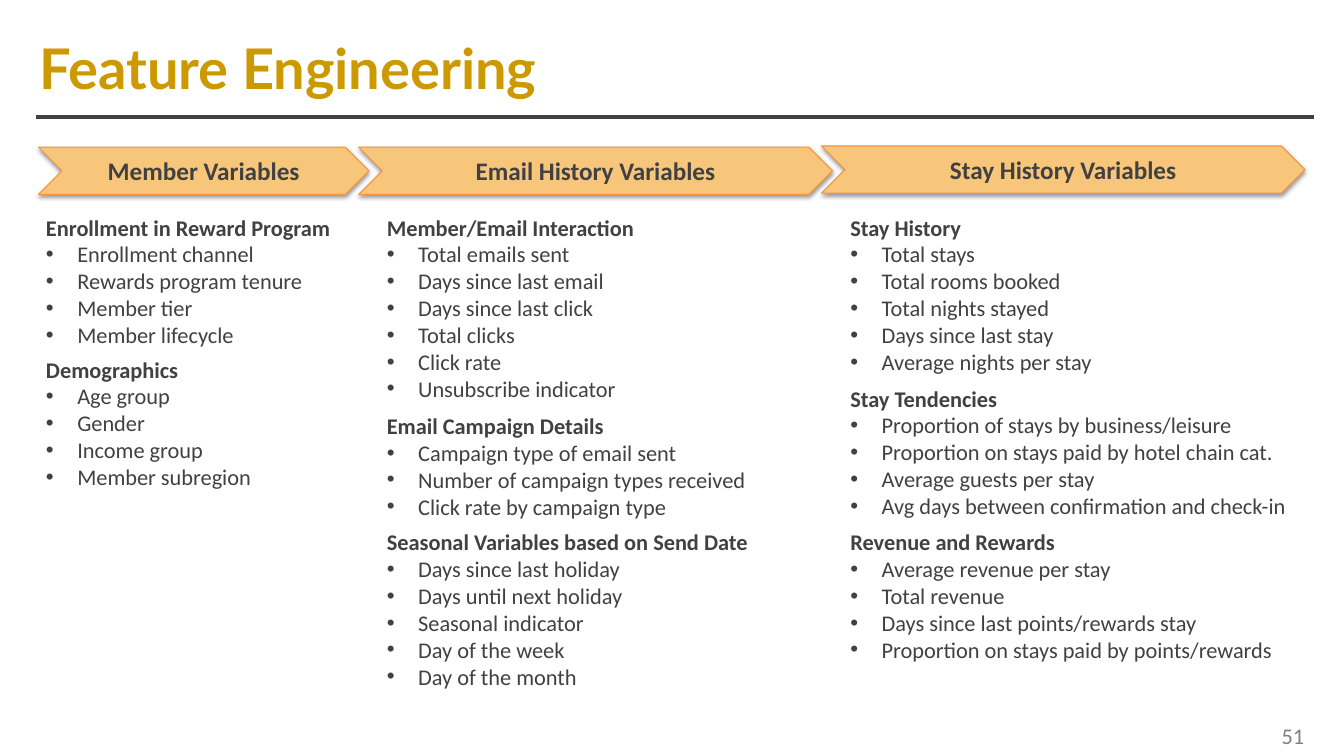
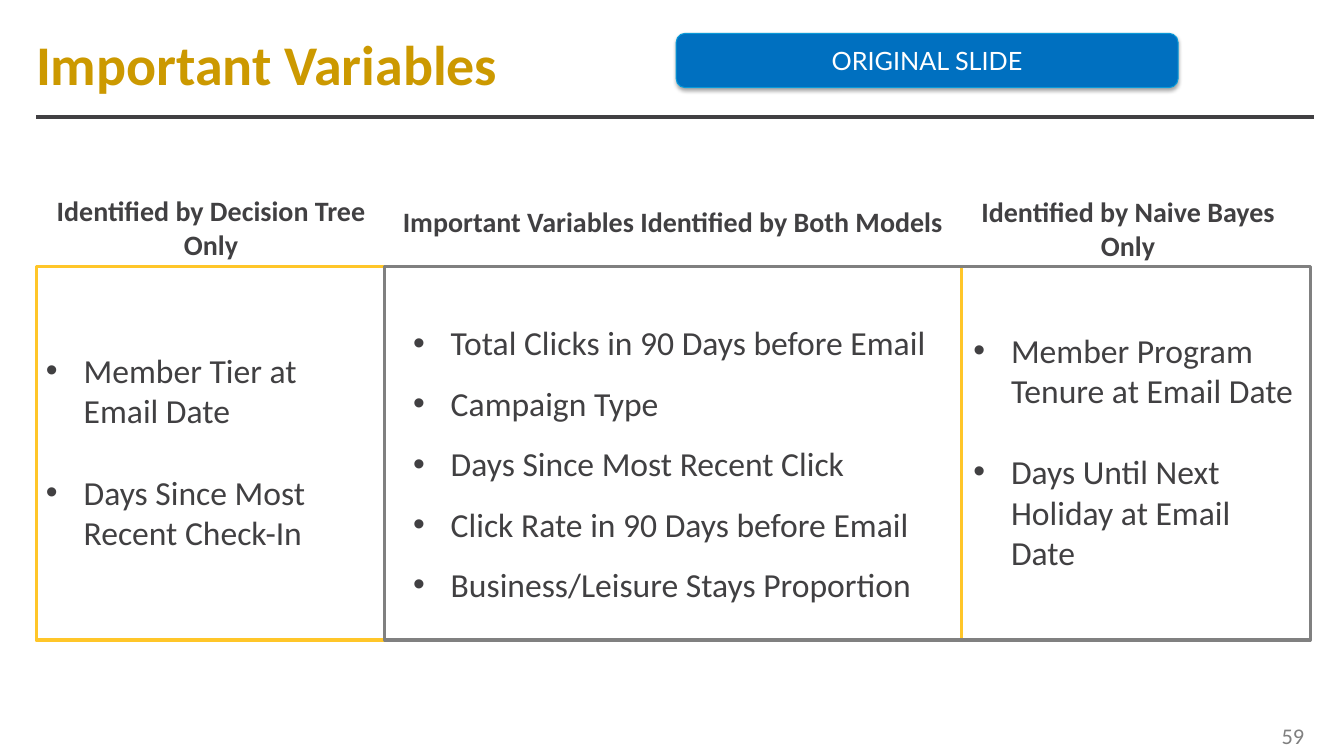
from dataclasses import dataclass

from lxml.etree import SubElement
from pptx import Presentation
from pptx.dml.color import RGBColor as Rgb
from pptx.enum.shapes import MSO_CONNECTOR as Link, MSO_SHAPE as Preset
from pptx.enum.text import MSO_ANCHOR as Anchor, PP_ALIGN as Align
from pptx.oxml.ns import qn
from pptx.util import Cm, Pt


@dataclass(frozen=True)
class Theme:
    ink: str = "414042"
    title: str = "CC9900"
    muted: str = "808080"
    white: str = "FFFFFF"
    chevron: str = "F8C67A"
    chevron_edge: str = "F69240"
    tag: str = "0070C0"
    tag_edge: str = "0A9AD8"
    frame: str = "FFC629"
    body_font: str = "Calibri"
    accent_font: str = "Lato"
    title_size: int = 40
    finding_size: int = 24
    header_size: int = 20
    banner_size: int = 18
    list_size: int = 16


THEME = Theme()


class Deck:
    def __init__(self):
        self.prs = Presentation()
        self.prs.slide_width, self.prs.slide_height = Cm(33.87), Cm(19.05)
        self.slide = None

    def new_slide(self, title, number, left, top, font):
        """Start a slide with its title, rule and page number."""
        self.slide = self.prs.slides.add_slide(self.prs.slide_layouts[6])
        rule = self.slide.shapes.add_connector(
            Link.STRAIGHT, Cm(0.91), Cm(2.95), Cm(33.12), Cm(2.95))
        rule.line.color.rgb = Rgb.from_string(THEME.ink)
        rule.line.width = Pt(3)
        SubElement(rule._element.spPr, qn("a:effectLst"))

        frame = self.text_frame(left, top, 28.4, 2.08, Anchor.MIDDLE)
        frame.margin_left = frame.margin_right = 0
        frame.margin_top = frame.margin_bottom = 0
        self.add_text(frame.paragraphs[0], title, THEME.title_size,
                      THEME.title, bold=True, font=font)

        page = self.text_frame(24.28, 18.03, 8.84, 1.02, Anchor.MIDDLE)
        page.paragraphs[0].alignment = Align.RIGHT
        self.add_text(page.paragraphs[0], number, THEME.list_size,
                      THEME.muted)

    def text_frame(self, left, top, width, height, anchor=Anchor.TOP):
        box = self.slide.shapes.add_textbox(
            Cm(left), Cm(top), Cm(width), Cm(height))
        box.text_frame.word_wrap = True
        box.text_frame.vertical_anchor = anchor
        return box.text_frame

    def add_text(self, paragraph, text, size, color=THEME.ink, bold=False,
                 font=THEME.body_font):
        run = paragraph.add_run()
        run.text = text
        run.font.name, run.font.size, run.font.bold = font, Pt(size), bold
        run.font.color.rgb = Rgb.from_string(color)

    def bullet(self, paragraph, text, size, indent):
        props = paragraph._p.get_or_add_pPr()
        props.set("marL", str(Cm(indent)))
        props.set("indent", str(-Cm(indent)))
        SubElement(props, qn("a:buFont"), typeface="Arial")
        SubElement(props, qn("a:buChar"), char="•")
        self.add_text(paragraph, text, size)

    def header(self, text, left, top, width, height):
        frame = self.text_frame(left, top, width, height)
        frame.paragraphs[0].alignment = Align.CENTER
        self.add_text(frame.paragraphs[0], text, THEME.header_size, bold=True)

    def group(self, heading, items, left, top, width, height):
        """Set a bold heading with its bullets below."""
        frame = self.text_frame(left, top, width, height)
        self.add_text(frame.paragraphs[0], heading, THEME.list_size,
                      bold=True)
        for item in items:
            self.bullet(frame.add_paragraph(), item, THEME.list_size, 0.79)

    def findings(self, items, left, top, width, height, line=1.0, gap=0):
        frame = self.text_frame(left, top, width, height)
        for i, item in enumerate(items):
            paragraph = frame.add_paragraph() if i else frame.paragraphs[0]
            self.bullet(paragraph, item, THEME.finding_size, 0.95)
            paragraph.line_spacing = line
            if i and gap:
                paragraph.space_before = Pt(gap)

    def outline(self, left, top, width, height, color):
        shape = self.slide.shapes.add_shape(
            Preset.RECTANGLE, Cm(left), Cm(top), Cm(width), Cm(height))
        shape.shadow.inherit = False
        shape.fill.background()
        shape.line.color.rgb = Rgb.from_string(color)
        shape.line.width = Pt(2.25)

    def banner(self, preset, text, left, top, width, height, fill, edge,
               color=THEME.ink, bold=False, font=THEME.body_font, opacity=38):
        """Draw a filled shape with a centred label and a soft shadow."""
        shape = self.slide.shapes.add_shape(
            preset, Cm(left), Cm(top), Cm(width), Cm(height))
        shape.fill.solid()
        shape.fill.fore_color.rgb = Rgb.from_string(fill)
        shape.line.color.rgb = Rgb.from_string(edge)
        shape.line.width = Pt(0.75)
        shape.shadow.inherit = False
        effects = shape._element.spPr.find(qn("a:effectLst"))
        shadow = SubElement(
            effects, qn("a:outerShdw"), blurRad=str(Pt(3.1)),
            dist=str(Pt(1.7)), dir="5400000", rotWithShape="0")
        black = SubElement(shadow, qn("a:srgbClr"), val="000000")
        SubElement(black, qn("a:alpha"), val=str(opacity * 1000))
        frame = shape.text_frame
        frame.vertical_anchor = Anchor.MIDDLE
        frame.paragraphs[0].alignment = Align.CENTER
        self.add_text(frame.paragraphs[0], text, THEME.banner_size, color,
                      bold, font)


@dataclass(frozen=True)
class Column:
    name: str
    chevron: tuple  # left, top, width
    left: float
    width: float
    gap: float
    groups: dict


COLUMNS = [
    Column("Member Variables", (0.97, 3.71, 8.33), 0.91, 8.1, 0.13, {
        "Enrollment in Reward Program": [
            "Enrollment channel", "Rewards program tenure", "Member tier",
            "Member lifecycle"],
        "Demographics": [
            "Age group", "Gender", "Income group", "Member subregion"],
    }),
    Column("Email History Variables", (9.04, 3.71, 11.94), 9.5, 11.2, 0.17, {
        "Member/Email Interaction": [
            "Total emails sent", "Days since last email",
            "Days since last click", "Total clicks", "Click rate",
            "Unsubscribe indicator"],
        "Email Campaign Details": [
            "Campaign type of email sent",
            "Number of campaign types received",
            "Click rate by campaign type"],
        "Seasonal Variables based on Send Date": [
            "Days since last holiday", "Days until next holiday",
            "Seasonal indicator", "Day of the week", "Day of the month"],
    }),
    Column("Stay History Variables", (20.7, 3.68, 12.19), 21.18, 11.73, 0.17, {
        "Stay History": [
            "Total stays", "Total rooms booked", "Total nights stayed",
            "Days since last stay", "Average nights per stay"],
        "Stay Tendencies": [
            "Proportion of stays by business/leisure",
            "Proportion on stays paid by hotel chain cat.",
            "Average guests per stay",
            "Avg days between confirmation and check-in"],
        "Revenue and Rewards": [
            "Average revenue per stay", "Total revenue",
            "Days since last points/rewards stay",
            "Proportion on stays paid by points/rewards"],
    }),
]


def feature_engineering(deck):
    deck.new_slide("Feature Engineering", "51", 0.99, 0.66,
                   THEME.accent_font)
    list_top, line_height = 5.26, 0.69
    for column in COLUMNS:
        left, top, width = column.chevron
        deck.banner(Preset.CHEVRON, column.name, left, top, width, 1.19,
                    THEME.chevron, THEME.chevron_edge, bold=True)
        group_top = list_top
        for heading, items in column.groups.items():
            height = line_height * (len(items) + 1)
            deck.group(heading, items, column.left, group_top, column.width,
                       height + 0.25)
            group_top += height + column.gap


def important_variables(deck):
    deck.new_slide("Important Variables", "59", 0.91, 0.56, THEME.body_font)
    deck.banner(Preset.ROUNDED_RECTANGLE, "ORIGINAL SLIDE", 17.04, 0.84,
                12.65, 1.37, THEME.tag, THEME.tag_edge, THEME.white,
                font=THEME.accent_font, opacity=35)

    for left, color in ((0.91, THEME.frame), (9.7, THEME.muted)):
        deck.outline(left, 6.71, 23.32, 9.42, color)

    deck.header("Identified by Decision Tree Only", 0.94, 4.75, 8.76, 1.96)
    deck.header("Important Variables Identified by Both Models",
                9.68, 5.03, 14.55, 1.12)
    deck.header("Identified by Naive Bayes Only", 24.05, 4.78, 8.76, 1.96)

    blank_line = 29.3
    deck.findings(["Member Tier at Email Date",
                   "Days Since Most Recent Check-In"],
                  0.91, 8.69, 8.28, 5.38, gap=blank_line)
    deck.findings(["Total Clicks in 90 Days before Email", "Campaign Type",
                   "Days Since Most Recent Click",
                   "Click Rate in 90 Days before Email",
                   "Business/Leisure Stays Proportion"],
                  10.16, 7.49, 13.54, 7.8, line=1.5)
    deck.findings(["Member Program Tenure at Email Date",
                   "Days Until Next Holiday at Email Date"],
                  24.28, 8.18, 8.64, 6.4, gap=blank_line)


def main():
    deck = Deck()
    feature_engineering(deck)
    important_variables(deck)
    deck.prs.save("out.pptx")


if __name__ == "__main__":
    main()
